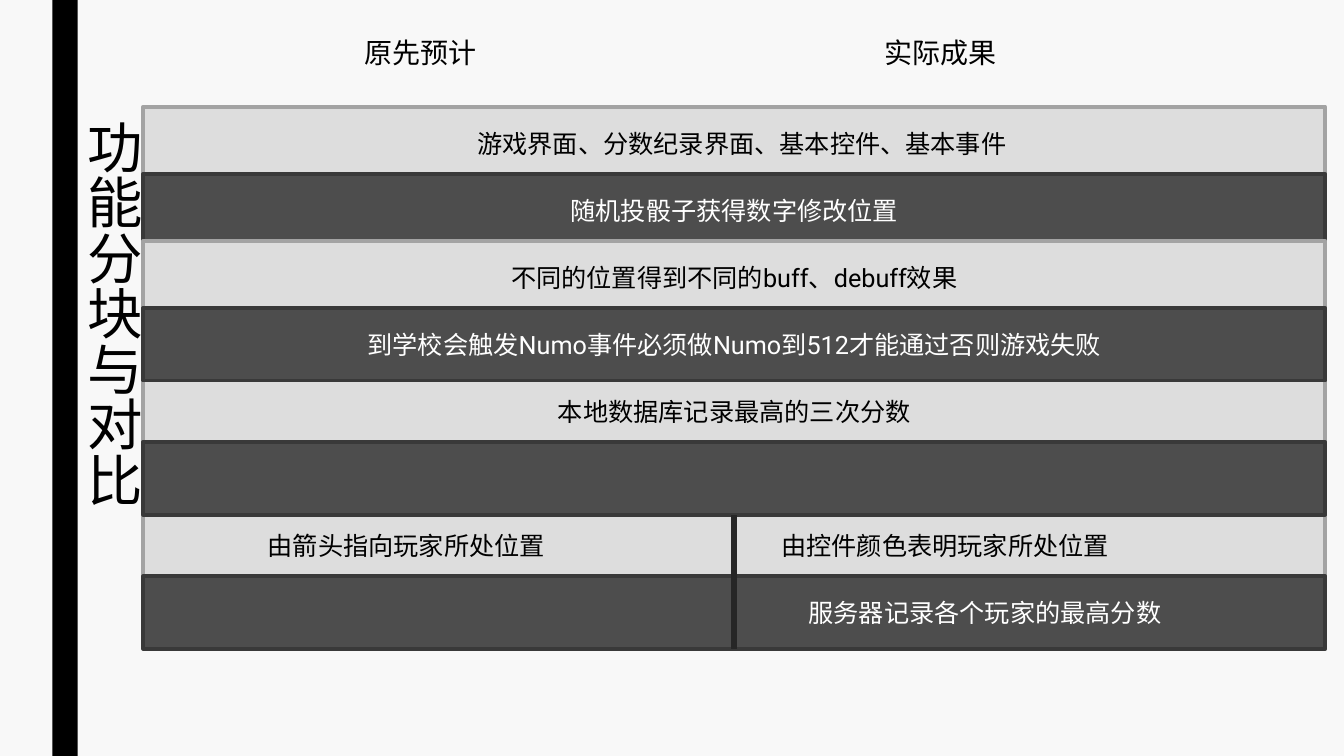
"""Build the slide comparing planned features with delivered ones."""
from pptx import Presentation
from pptx import util as u
from pptx.dml.color import RGBColor
from pptx.enum import shapes, text
from pptx.oxml.ns import qn
from lxml import etree

FONT = "Roboto"
BLACK, WHITE, PAPER, DIVIDER = "000000", "FFFFFF", "F8F8F8", "262626"
LIGHT = ("DDDDDD", "A3A3A3", BLACK)
DARK = ("4D4D4D", "393939", WHITE)

TITLE = "功能分块与对比"
HEADINGS = [("原先预计", 10.6), ("实际成果", 23.71)]
SHARED = [
    "游戏界面、分数纪录界面、基本控件、基本事件",
    "随机投骰子获得数字修改位置",
    "不同的位置得到不同的buff、debuff效果",
    "到学校会触发Numo事件必须做Numo到512才能通过否则游戏失败",
    "本地数据库记录最高的三次分数",
    "",
    "",
    "",
]
SPLIT = [
    (6, "由箭头指向玩家所处位置", 10.24),
    (6, "由控件颜色表明玩家所处位置", 23.82),
    (7, "服务器记录各个玩家的最高分数", 24.82),
]
STACKING = [0, 1, 2, 4, 3, 6, 5, 7]
LEFT, TOP, WIDTH, HEIGHT, PITCH = 3.61, 2.69, 29.79, 1.83, 1.69
LABEL_WIDTH = 10
FIRST_ROW_INSET = 0.63


def color(value):
    return RGBColor.from_string(value)


def write(shape, words, size=18, ink=BLACK, align=text.PP_ALIGN.CENTER,
          anchor=text.MSO_ANCHOR.MIDDLE, spacing=1.0):
    frame = shape.text_frame
    frame.word_wrap = True
    frame.vertical_anchor = anchor
    paragraph = frame.paragraphs[0]
    paragraph.alignment = align
    paragraph.line_spacing = spacing
    run = paragraph.add_run()
    run.text = words
    run.font.size = u.Pt(size)
    run.font.name = FONT
    run.font.color.rgb = color(ink)
    etree.SubElement(run.font._element, qn("a:ea")).set("typeface", FONT)


def bar(slide, left, top, width, height, fill, edge=None):
    shape = slide.shapes.add_shape(shapes.MSO_SHAPE.RECTANGLE, u.Cm(left),
                                   u.Cm(top), u.Cm(width), u.Cm(height))
    shape.shadow.inherit = False
    shape.fill.solid()
    shape.fill.fore_color.rgb = color(fill)
    if edge:
        shape.line.color.rgb = color(edge)
        shape.line.width = u.Pt(2.75)
    else:
        shape.line.fill.background()
    return shape


def label(slide, words, center, top, **style):
    box = slide.shapes.add_textbox(u.Cm(center - LABEL_WIDTH / 2), u.Cm(top),
                                   u.Cm(LABEL_WIDTH), u.Cm(HEIGHT))
    write(box, words, **style)


def row_top(row):
    return TOP + row * PITCH


def main():
    deck = Presentation()
    deck.slide_width, deck.slide_height = u.Cm(33.87), u.Cm(19.05)
    slide = deck.slides.add_slide(deck.slide_layouts[6])
    slide.background.fill.solid()
    slide.background.fill.fore_color.rgb = color(PAPER)

    bar(slide, 1.32, 0, 0.64, 19.05, BLACK)
    title = slide.shapes.add_textbox(u.Cm(0.46), u.Cm(2.77), u.Cm(3.15), u.Cm(13.51))
    write(title, TITLE, size=39.6, align=text.PP_ALIGN.LEFT,
          anchor=text.MSO_ANCHOR.TOP, spacing=0.89)
    title.text_frame._txBody.bodyPr.set("vert", "eaVert")
    for heading, center in HEADINGS:
        label(slide, heading, center, 0.4, size=20)

    for row in STACKING:
        fill, edge, ink = (LIGHT, DARK)[row % 2]
        feature = bar(slide, LEFT, row_top(row), WIDTH, HEIGHT, fill, edge)
        if SHARED[row]:
            write(feature, SHARED[row], ink=ink)
        if row == 0:
            feature.text_frame.margin_left = u.Cm(FIRST_ROW_INSET)
    for row, outcome, center in SPLIT:
        label(slide, outcome, center, row_top(row), ink=(LIGHT, DARK)[row % 2][2])

    middle = u.Cm(LEFT + WIDTH / 2)
    divider = slide.shapes.add_connector(shapes.MSO_CONNECTOR.STRAIGHT, middle,
                                         u.Cm(12.98), middle, u.Cm(16.36))
    divider.line.color.rgb = color(DIVIDER)
    divider.line.width = u.Pt(4.5)
    etree.SubElement(divider._element.spPr, qn("a:effectLst"))

    deck.save("out.pptx")


if __name__ == "__main__":
    main()
